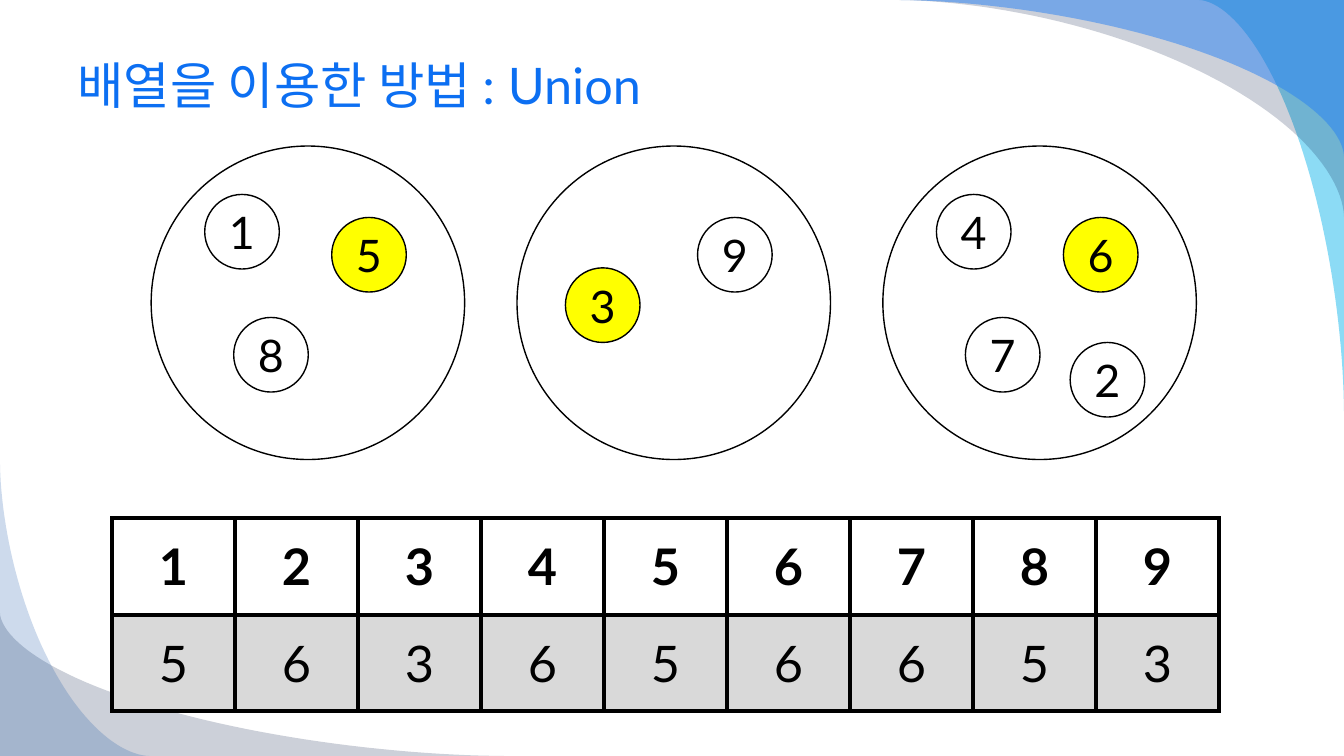
from math import cos, pi, sin

from lxml.etree import SubElement
from pptx import Presentation
from pptx.dml.color import RGBColor
from pptx.enum.shapes import MSO_SHAPE
from pptx.enum.text import MSO_ANCHOR, PP_ALIGN
from pptx.oxml.ns import qn
from pptx.util import Cm, Pt

WIDTH, HEIGHT = 33.87, 19.05
BLACK, WHITE, YELLOW, GREY = "000000", "FFFFFF", "FFFF00", "D9D9D9"

# corner x, corner y, signed radii towards the corner, colour, opacity in percent
WAVES = [
    (WIDTH, 0, 3.66, -10.36, "00B1E9", 45),
    (WIDTH, 0, 11.28, -5.46, "021741", 20),
    (WIDTH, 0, 11.28, -3.94, "247FF4", 49),
    (0, HEIGHT, -12.7, 3.61, "021741", 20),
    (0, HEIGHT, -3.76, 7.42, "084AA1", 20),
]

# places of the elements inside a set
TOP_LEFT, TOP_RIGHT = (1.35, 1.22), (4.55, 1.8)
MIDDLE_LEFT = (1.22, 3.07)
BOTTOM_LEFT, BOTTOM_RIGHT = (2.08, 4.32), (4.72, 4.95)

# root -> its elements
SETS = {
    5: {1: TOP_LEFT, 5: TOP_RIGHT, 8: BOTTOM_LEFT},
    3: {9: TOP_RIGHT, 3: MIDDLE_LEFT},
    6: {4: TOP_LEFT, 6: TOP_RIGHT, 7: BOTTOM_LEFT, 2: BOTTOM_RIGHT},
}
SET_LEFT, SET_TOP, SET_SIZE, SET_PITCH = 3.81, 3.68, 7.9, 9.22
NODE_SIZE = 1.88


def rgb(colour):
    return RGBColor.from_string(colour)


class SlideBuilder:
    font = "Lato"

    def __init__(self, slide):
        self.s = slide

    def add_text(self, tf, text, size, colour=BLACK, bold=False, align=PP_ALIGN.CENTER):
        p = tf.paragraphs[0]
        p.alignment = align
        r = p.add_run()
        r.text = text
        r.font.name = self.font
        r.font.size = Pt(size)
        r.font.bold = bold
        r.font.color.rgb = rgb(colour)

    def title(self, text, left, top, width, height):
        sp = self.s.shapes.title
        sp.left, sp.top, sp.width, sp.height = Cm(left), Cm(top), Cm(width), Cm(height)
        sp.text_frame.vertical_anchor = MSO_ANCHOR.MIDDLE
        self.add_text(sp.text_frame, text, 36, "0C6FF2", align=PP_ALIGN.LEFT)

    def wave(self, x, y, rx, ry, colour, opacity, steps=48, power=1.76):
        """Fill the area between a slide corner and a superellipse arc."""
        points = []
        for i in range(steps + 1):
            t = pi / 2 * i / steps
            points.append((Cm(x - rx + rx * sin(t) ** (2 / power)),
                           Cm(y - ry + ry * cos(t) ** (2 / power))))
        builder = self.s.shapes.build_freeform(Cm(x), Cm(y))
        builder.add_line_segments(points, close=True)
        sp = builder.convert_to_shape()
        sp.shadow.inherit = False
        sp.line.fill.background()
        sp.fill.solid()
        sp.fill.fore_color.rgb = rgb(colour)
        clr = sp._element.spPr.find(qn("a:solidFill")).find(qn("a:srgbClr"))
        SubElement(clr, qn("a:alpha"), val=str(opacity * 1000))

    def circle(self, left, top, size, fill=WHITE, text=None):
        sp = self.s.shapes.add_shape(MSO_SHAPE.OVAL, Cm(left), Cm(top), Cm(size), Cm(size))
        sp.shadow.inherit = False
        sp.fill.solid()
        sp.fill.fore_color.rgb = rgb(fill)
        sp.line.color.rgb = rgb(BLACK)
        sp.line.width = Pt(1)
        if text:
            sp.text_frame.vertical_anchor = MSO_ANCHOR.MIDDLE
            self.add_text(sp.text_frame, text, 32)

    def cell(self, cell, text, fill, bold):
        cell.vertical_anchor = MSO_ANCHOR.MIDDLE
        self.add_text(cell.text_frame, text, 36, bold=bold)
        tc_pr = cell._tc.get_or_add_tcPr()
        for side in ("a:lnL", "a:lnR", "a:lnT", "a:lnB"):
            ln = SubElement(tc_pr, qn(side), w=str(Pt(3)))
            SubElement(SubElement(ln, qn("a:solidFill")), qn("a:srgbClr"), val=BLACK)
        cell.fill.solid()
        cell.fill.fore_color.rgb = rgb(fill)

    def table(self, rows, left, top, col_width, row_height):
        n_rows, n_cols = len(rows), len(rows[0])
        table = self.s.shapes.add_table(
            n_rows, n_cols, Cm(left), Cm(top),
            Cm(col_width * n_cols), Cm(row_height * n_rows)).table
        table.first_row = table.horz_banding = False
        for col in table.columns:
            col.width = Cm(col_width)
        for i, values in enumerate(rows):
            table.rows[i].height = Cm(row_height)
            for j, value in enumerate(values):
                self.cell(table.cell(i, j), str(value), GREY if i else WHITE, bold=i == 0)


def main():
    prs = Presentation()
    prs.slide_width, prs.slide_height = Cm(WIDTH), Cm(HEIGHT)
    page = SlideBuilder(prs.slides.add_slide(prs.slide_layouts[5]))

    for wave in WAVES:
        page.wave(*wave)
    page.title("배열을 이용한 방법 : Union", 1.7, 0.85, 30.48, 2.56)

    root_of = {}
    for i, (root, elements) in enumerate(SETS.items()):
        left = SET_LEFT + i * SET_PITCH
        page.circle(left, SET_TOP, SET_SIZE)
        for element, (dx, dy) in elements.items():
            fill = YELLOW if element == root else WHITE
            page.circle(left + dx, SET_TOP + dy, NODE_SIZE, fill, str(element))
            root_of[element] = root

    indices = sorted(root_of)
    page.table([indices, [root_of[i] for i in indices]], 2.82, 13.06, 3.1, 2.43)
    prs.save("out.pptx")


if __name__ == "__main__":
    main()
